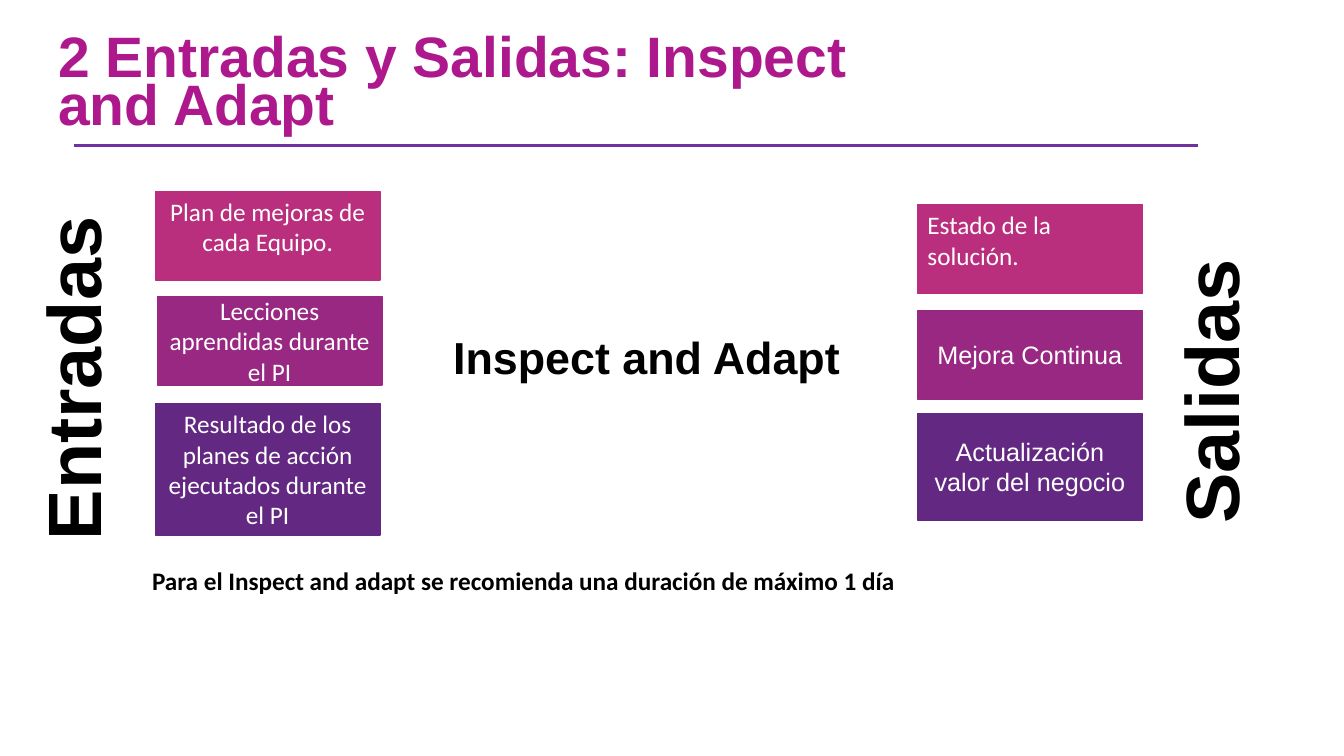
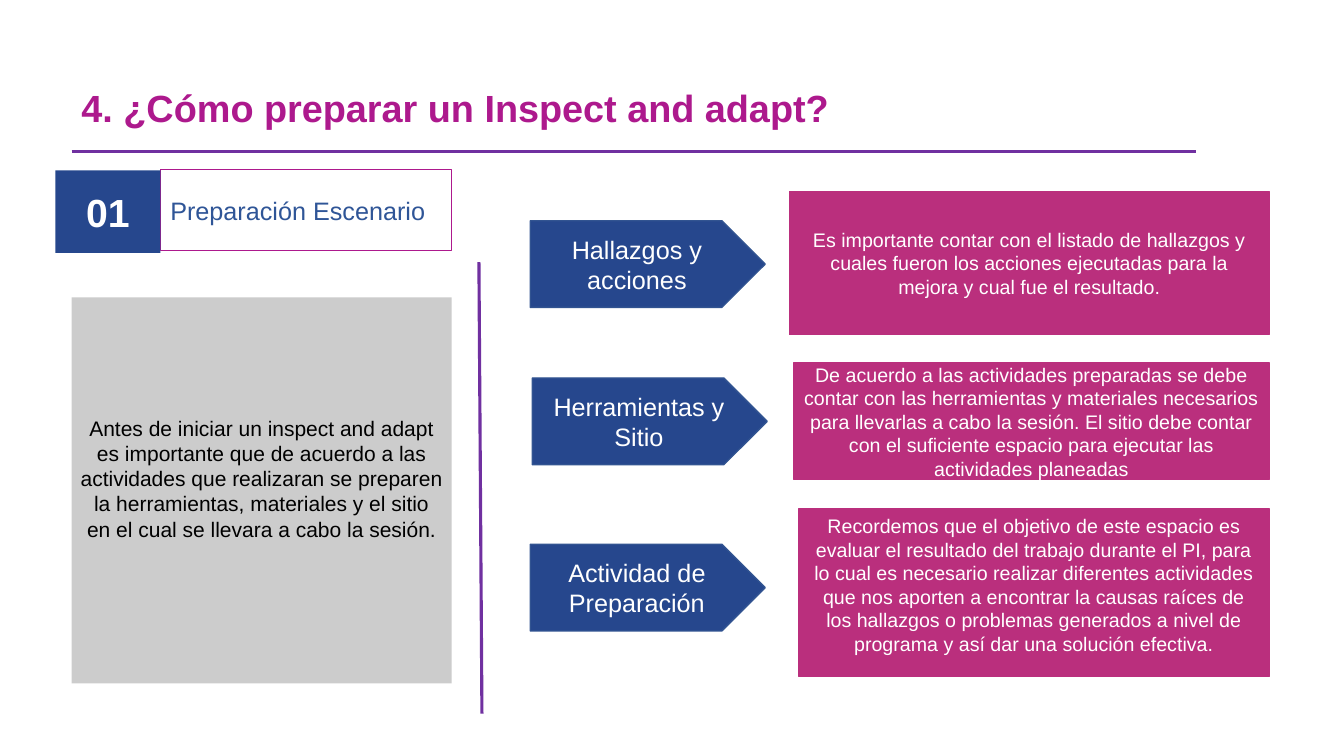
from lxml import etree
from pptx import Presentation
from pptx.dml.color import RGBColor
from pptx.enum.shapes import MSO_CONNECTOR, MSO_SHAPE
from pptx.enum.text import MSO_ANCHOR, PP_ALIGN
from pptx.oxml.ns import qn
from pptx.util import Inches, Pt

RECT = MSO_SHAPE.RECTANGLE
PROCESS = MSO_SHAPE.FLOWCHART_PROCESS
PENTAGON = MSO_SHAPE.PENTAGON
STRAIGHT = MSO_CONNECTOR.STRAIGHT
TOP, MIDDLE = MSO_ANCHOR.TOP, MSO_ANCHOR.MIDDLE
LEFT, CENTER, JUSTIFY = PP_ALIGN.LEFT, PP_ALIGN.CENTER, PP_ALIGN.JUSTIFY

MAGENTA = RGBColor(0xAD, 0x19, 0x8D)
RULE = RGBColor(0x70, 0x30, 0xA0)
PINK = RGBColor(0xBA, 0x2F, 0x7D)
PLUM = RGBColor(0x98, 0x28, 0x81)
VIOLET = RGBColor(0x63, 0x28, 0x81)
NAVY = RGBColor(0x26, 0x47, 0x8D)
NAVY_EDGE = RGBColor(0x32, 0x54, 0x91)
BLUE = RGBColor(0x2F, 0x55, 0x97)
GREY = RGBColor(0xCC, 0xCC, 0xCC)
BLACK = RGBColor(0, 0, 0)
WHITE = RGBColor(0xFF, 0xFF, 0xFF)

SANS, BODY = "Arial", "Calibri"


class Deck:
    """Holds the presentation, its style and the current slide."""

    def __init__(self):
        self.prs = Presentation()
        self.prs.slide_width = Inches(13.33)
        self.prs.slide_height = Inches(7.5)
        self.slide = None

    def new_slide(self):
        self.slide = self.prs.slides.add_slide(self.prs.slide_layouts[6])

    def set_text(self, sp, text, size, color, font=SANS, bold=False,
                 align=CENTER, anchor=MIDDLE, wrap=True):
        tf = sp.text_frame
        tf.text = text
        tf.word_wrap = wrap
        tf.vertical_anchor = anchor
        p = tf.paragraphs[0]
        p.alignment = align
        f = p.runs[0].font
        f.name, f.size, f.bold = font, Pt(size), bold
        f.color.rgb = color
        return p

    def text(self, box, text, size, color=BLACK, rotation=0, **style):
        sp = self.slide.shapes.add_textbox(*map(Inches, box))
        sp.rotation = rotation
        return self.set_text(sp, text, size, color, **style)

    def shape(self, box, text, size=18, color=WHITE, kind=RECT, fill=None,
              edge=None, edge_width=1, **style):
        sp = self.slide.shapes.add_shape(kind, *map(Inches, box))
        sp.shadow.inherit = False
        if fill is None:
            sp.fill.background()
        else:
            sp.fill.solid()
            sp.fill.fore_color.rgb = fill
        if edge is None:
            sp.line.fill.background()
        else:
            sp.line.color.rgb = edge
            sp.line.width = Pt(edge_width)
        self.set_text(sp, text, size, color, **style)
        return sp

    def line(self, *ends):
        c = self.slide.shapes.add_connector(STRAIGHT, *map(Inches, ends))
        c.line.color.rgb = RULE
        c.line.width = Pt(2.25)
        etree.SubElement(c._element.spPr, qn("a:effectLst"))

    def title(self, box, text, size, spacing, rule_left, rule_top):
        p = self.text(box, text, size, MAGENTA, bold=True, align=LEFT)
        p.line_spacing = spacing
        self.line(rule_left, rule_top, rule_left + 11.15, rule_top)


def inputs_and_outputs(deck):
    deck.new_slide()
    deck.title((0.48, 0.31, 8.3, 1.11), "2 Entradas y Salidas: Inspect and Adapt",
               40.7, 0.7, 0.73, 1.44)
    cards = [
        (1.54, 1.9, 0.88, "Plan de mejoras de cada Equipo.", PINK,
         {"font": BODY, "anchor": TOP}),
        (1.56, 2.94, 0.88, "Lecciones aprendidas durante el PI", PLUM, {"font": BODY}),
        (1.54, 4, 1.31, "Resultado de los planes de acción ejecutados durante el PI",
         VIOLET, {"font": BODY}),
        (9.1, 2.03, 0.88, "Estado de la solución.", PINK,
         {"font": BODY, "anchor": TOP, "align": LEFT}),
        (9.1, 3.08, 0.88, "Mejora Continua", PLUM, {}),
        (9.1, 4.1, 1.06, "Actualización valor del negocio", VIOLET, {}),
    ]
    for left, top, height, text, color, style in cards:
        deck.shape((left, top, 2.23, height), text, fill=color, edge=color, **style)

    deck.text((4.38, 3.22, 4.07, 0.64), "Inspect and Adapt", 32,
              bold=True, anchor=TOP, wrap=False)
    for box, text in (((-1.01, 3.25, 3.44, 1.01), "Entradas"),
                      ((10.57, 3.38, 2.85, 1.01), "Salidas")):
        deck.text(box, text, 54, rotation=270, bold=True, anchor=TOP, wrap=False)
    deck.text((1.41, 5.56, 8.27, 0.71),
              "Para el Inspect and adapt se recomienda una duración de máximo 1 día",
              18, font=BODY, bold=True, align=JUSTIFY, anchor=TOP)


def preparation(deck):
    deck.new_slide()
    deck.title((0.71, 0.79, 10.33, 0.61), "4. ¿Cómo preparar un Inspect and adapt?",
               27, 0.9, 0.71, 1.5)
    deck.shape((1.59, 1.68, 2.89, 0.81), "Preparación Escenario", color=BLUE,
               edge=MAGENTA, edge_width=0.75, align=LEFT)
    deck.shape((0.55, 1.69, 1.04, 0.82), "01", 28, fill=NAVY, bold=True, wrap=False)
    intro = deck.shape(
        (0.71, 2.95, 3.77, 3.83),
        "Antes de iniciar un inspect and adapt es importante que de acuerdo a las "
        "actividades que realizaran se preparen la herramientas, materiales y el sitio "
        "en el cual se llevara a cabo la sesión.", 15, BLACK, fill=GREY)
    tf = intro.text_frame
    tf.margin_left = tf.margin_right = Inches(0.08)
    tf.margin_top, tf.margin_bottom = Inches(0.04), Inches(0.28)
    deck.line(4.78, 7.08, 4.75, 2.6)

    steps = [
        (5.26, 2.19, "Hallazgos y acciones", 7.83, 1.9, 1.42, MIDDLE,
         "Es importante contar con el listado de hallazgos y cuales fueron los acciones "
         "ejecutadas para la mejora y cual fue el resultado."),
        (5.28, 3.75, "Herramientas y Sitio", 7.87, 3.6, 1.16, MIDDLE,
         "De acuerdo a las actividades preparadas se debe contar con las herramientas y "
         "materiales necesarios para llevarlas a cabo la sesión. El sitio debe contar con "
         "el suficiente espacio para ejecutar las actividades planeadas"),
        (5.26, 5.4, "Actividad de Preparación", 7.92, 5.05, 1.66, TOP,
         "Recordemos que el objetivo de este espacio es evaluar el resultado del trabajo "
         "durante el PI, para lo cual es necesario realizar diferentes actividades que nos "
         "aporten a encontrar la causas raíces de los hallazgos o problemas generados a "
         "nivel de programa y así dar una solución efectiva."),
    ]
    detail_right = 12.59
    for left, top, name, detail_left, detail_top, height, anchor, detail in steps:
        deck.shape((left, top, 2.33, 0.86), name, kind=PENTAGON,
                   fill=NAVY, edge=NAVY_EDGE)
        deck.shape((detail_left, detail_top, detail_right - detail_left, height),
                   detail, 14, kind=PROCESS, fill=PINK, edge=PINK, anchor=anchor)


def main():
    deck = Deck()
    inputs_and_outputs(deck)
    preparation(deck)
    deck.prs.save("out.pptx")


if __name__ == "__main__":
    main()
